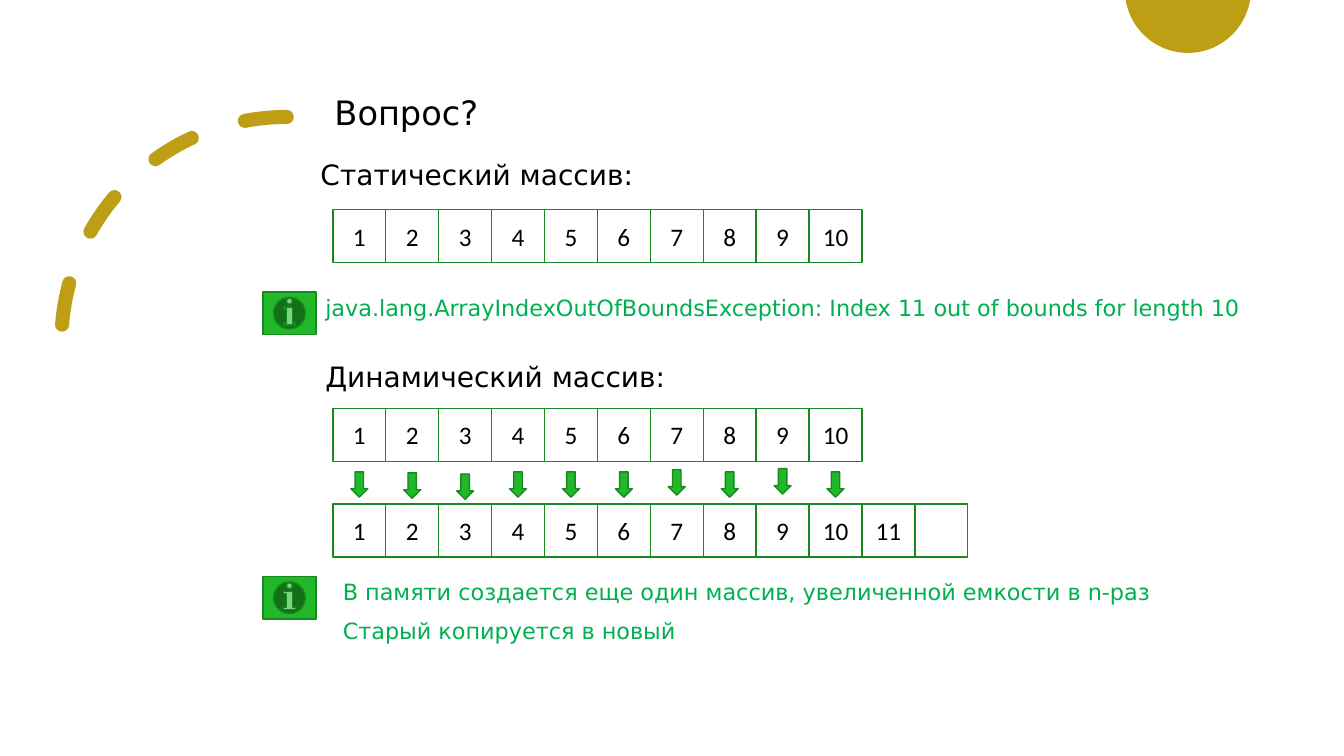
import math
from pptx import Presentation
from pptx import util as u
from pptx.dml.color import RGBColor
from pptx.enum import dml, shapes, text

INK = {"gold": "BE9E15", "edge": "18891F", "fill": "21B92A",
       "note": "00B050", "black": "000000", "white": "FFFFFF"}
WIDE, HIGH = u.Inches(13.33), u.Inches(7.5)
CELL = WIDE / 25.4  # one array cell; all lengths below count cells
LEFT = 6.29         # left edge of the arrays
GEO, MID = shapes.MSO_SHAPE, text.MSO_ANCHOR.MIDDLE


def grid(*nums):
    return [round(n * CELL) for n in nums]


def tint(name):
    return RGBColor.from_string(INK[name])


def write(box, words, size=18, font="DejaVu Sans", ink="black",
          align=text.PP_ALIGN.LEFT, anchor=text.MSO_ANCHOR.TOP,
          space=0.9, before=0):
    frame = box.text_frame
    frame.word_wrap, frame.vertical_anchor = True, anchor
    for i, line in enumerate(words.split("\n")):
        para = frame.add_paragraph() if i else frame.paragraphs[0]
        para.alignment, para.line_spacing = align, space
        para.space_before = u.Pt(before)
        run = para.add_run()
        run.text = line
        run.font.size, run.font.name = u.Pt(size), font
        run.font.color.rgb = tint(ink)


def label(slide, area, words, **form):
    write(slide.shapes.add_textbox(*grid(*area)), words, **form)


def block(slide, kind, area, fill="fill"):
    item = slide.shapes.add_shape(kind, *grid(*area))
    item.shadow.inherit = False
    item.fill.solid()
    item.fill.fore_color.rgb = tint(fill)
    item.line.color.rgb = tint("edge")
    item.line.width = u.Pt(1)
    return item


def array(slide, top, vals):
    for i, val in enumerate(vals):
        cell = block(slide, GEO.RECTANGLE, (LEFT + i, top, 1, 1), "white")
        if val:
            write(cell, str(val), font="Calibri", space=1, anchor=MID,
                  align=text.PP_ALIGN.CENTER)


def arrows(slide, top, shifts):
    for i, shift in enumerate(shifts):
        block(slide, GEO.DOWN_ARROW, (LEFT + 0.34 + i, top + shift, 0.32, 0.48))


def disc(slide, x, y, rad):
    # Only the part below the slide's top edge
    tilt = math.asin(-y / rad)
    turns = [tilt + (math.pi - 2 * tilt) * i / 60 for i in range(61)]
    dots = [grid(x + rad * math.cos(t), max(0, y + rad * math.sin(t)))
            for t in turns]
    pen = slide.shapes.build_freeform(*dots[0])
    pen.add_line_segments(dots[1:], close=True)
    form = pen.convert_to_shape()
    form.shadow.inherit = False
    form.fill.solid()
    form.fill.fore_color.rgb = tint("gold")
    form.line.fill.background()


def curve(slide, area):
    arc = slide.shapes.add_shape(GEO.ARC, *grid(*area))
    arc.shadow.inherit = False
    arc.rotation = 180
    arc._element.spPr.xfrm.set("flipV", "1")
    arc.fill.background()
    arc.line.color.rgb = tint("gold")
    arc.line.width = u.Pt(10)
    arc.line.dash_style = dml.MSO_LINE.DASH
    arc.line._get_or_add_ln().set("cap", "rnd")


def main():
    deck = Presentation()
    deck.slide_width, deck.slide_height = WIDE, HIGH
    slide = deck.slides.add_slide(deck.slide_layouts[6])
    ten = list(range(1, 11))
    head = dict(size=20, before=10)
    note = dict(size=16, before=10, ink="note")

    # Decoration and title
    disc(slide, 22.45, -0.19, 1.19)
    curve(slide, (1.16, 2.21, 8.52, 8.52))
    label(slide, (5.47, 1.33, 4.42, 1.28), "Вопрос?", size=24,
          align=text.PP_ALIGN.CENTER, anchor=text.MSO_ANCHOR.BOTTOM)

    # Static array
    label(slide, (5.87, 2.95, 6.84, 1), "Статический массив:", **head)
    array(slide, 3.96, ten)
    label(slide, (5.96, 5.52, 18.21, 0.8),
          "java.lang.ArrayIndexOutOfBoundsException: "
          "Index 11 out of bounds for length 10", **note)

    # Dynamic array, copied into a longer one
    label(slide, (5.96, 6.78, 6.84, 1), "Динамический массив:", **head)
    array(slide, 7.72, ten)
    arrows(slide, 8.92, (0, 0.02, 0.04, 0, 0, 0, -0.04, 0, -0.06, 0))
    array(slide, 9.53, ten + [11, None])
    label(slide, (LEFT, 10.9, 16.5, 1.56),
          "В памяти создается еще один массив, увеличенной емкости в n-раз\n"
          "Старый копируется в новый", **note)

    # Information marks
    for top in (5.52, 10.9):
        block(slide, GEO.ACTION_BUTTON_INFORMATION, (4.97, top, 1, 0.8))

    deck.save("out.pptx")


if __name__ == "__main__":
    main()
